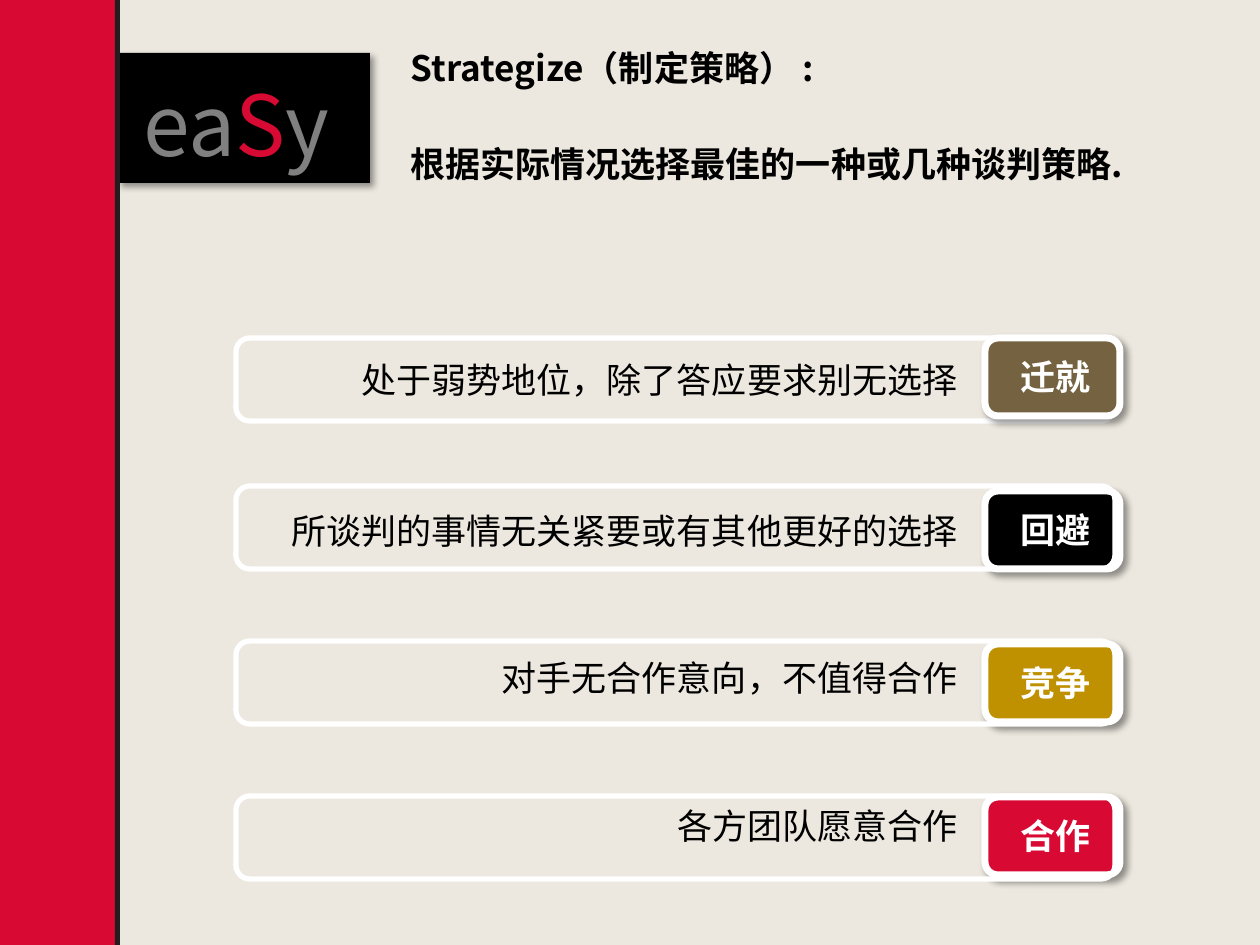
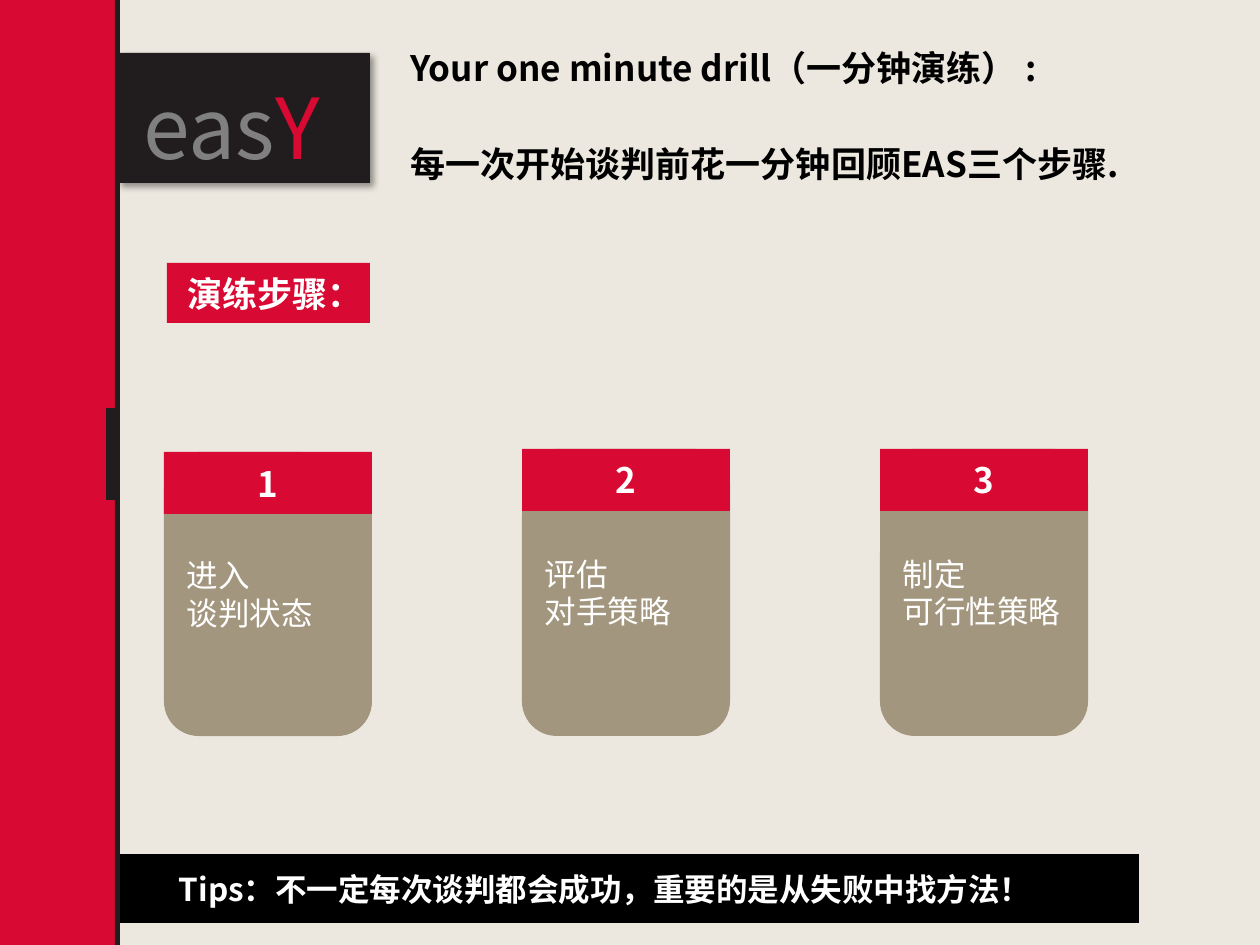
from dataclasses import dataclass

from lxml import etree
from pptx import Presentation
from pptx import util as u
from pptx.dml.color import RGBColor
from pptx.enum import shapes, text
from pptx.oxml.ns import qn

PX = u.Inches(1) / 126
LEFT, CENTER, RIGHT = text.PP_ALIGN.LEFT, text.PP_ALIGN.CENTER, text.PP_ALIGN.RIGHT
RECT = shapes.MSO_SHAPE.RECTANGLE
ROUNDED = shapes.MSO_SHAPE.ROUNDED_RECTANGLE


@dataclass(frozen=True)
class Theme:
    font: str = "Noto Sans CJK SC"
    background: str = "ECE8DF"
    black: str = "000000"
    white: str = "FFFFFF"
    charcoal: str = "211D1F"
    red: str = "D80A33"
    gray: str = "808080"
    brown: str = "746241"
    gold: str = "BF9000"
    taupe: str = "A3967F"
    logo_size: int = 48
    body_size: int = 20
    small_size: int = 18


THEME = Theme()


def px(length):
    return u.Emu(round(length * PX))


def write(frame, paragraphs, size=THEME.body_size, color=THEME.black, bold=False,
          align=LEFT, anchor=text.MSO_ANCHOR.TOP):
    """Fill a text frame; each paragraph is a string or a list of (text, color) runs."""
    frame.word_wrap = True
    frame.auto_size = text.MSO_AUTO_SIZE.NONE
    frame.vertical_anchor = anchor
    for index, content in enumerate(paragraphs):
        paragraph = frame.add_paragraph() if index else frame.paragraphs[0]
        paragraph.alignment = align
        runs = [(content, color)] if isinstance(content, str) else content
        for words, run_color in runs:
            run = paragraph.add_run()
            run.text = words
            run.font.size = u.Pt(size)
            run.font.bold = bold
            run.font.color.rgb = RGBColor.from_string(run_color)
            run.font.name = THEME.font
            properties = run._r.get_or_add_rPr()
            etree.SubElement(properties, qn("a:ea"), typeface=THEME.font)


def add_shadow(shape):
    effects = shape._element.spPr.find(qn("a:effectLst"))
    shadow = etree.SubElement(effects, qn("a:outerShdw"), blurRad=str(u.Pt(4)),
                              dist=str(u.Pt(3)), dir="2700000", algn="tl", rotWithShape="0")
    color = etree.SubElement(shadow, qn("a:srgbClr"), val=THEME.black)
    etree.SubElement(color, qn("a:alpha"), val="40000")


class Deck:
    """Holds the presentation, the current slide and the place where shapes are added."""

    def __init__(self):
        self.presentation = Presentation()
        self.presentation.slide_width = px(1260)
        self.presentation.slide_height = px(945)

    def new_slide(self, title, subtitle):
        self.slide = self.presentation.slides.add_slide(self.presentation.slide_layouts[5])
        self.end_group()
        fill = self.slide.background.fill
        fill.solid()
        fill.fore_color.rgb = RGBColor.from_string(THEME.background)
        placeholder = self.slide.shapes.title
        placeholder.left, placeholder.top = px(398), px(40)
        placeholder.width, placeholder.height = px(770), px(55)
        write(placeholder.text_frame, [title], bold=True)
        self.label(398, 136, 770, 55, [subtitle], bold=True)

    def start_group(self):
        self.canvas = self.slide.shapes.add_group_shape().shapes

    def end_group(self):
        self.canvas = self.slide.shapes

    def box(self, left, top, width, height, fill=None, kind=RECT, line=None, shadow=False):
        """Add a preset shape; line is a width in points of a white outline."""
        shape = self.canvas.add_shape(kind, px(left), px(top), px(width), px(height))
        shape.shadow.inherit = False
        if fill:
            shape.fill.solid()
            shape.fill.fore_color.rgb = RGBColor.from_string(fill)
        else:
            shape.fill.background()
        if line:
            shape.line.color.rgb = RGBColor.from_string(THEME.white)
            shape.line.width = u.Pt(line)
        else:
            shape.line.fill.background()
        if shadow:
            add_shadow(shape)
        return shape

    def label(self, left, top, width, height, paragraphs, **style):
        shape = self.canvas.add_textbox(px(left), px(top), px(width), px(height))
        write(shape.text_frame, paragraphs, **style)

    def side_band(self):
        self.box(0, 0, 116, 945, THEME.red)
        self.box(115, 0, 5, 945, THEME.charcoal)

    def step_badge(self, before, current, after="", fill=THEME.black, text_top=66):
        """Show the method's name with the letter of the current step in red."""
        self.box(118, 53, 252, 130, fill, shadow=True)
        letters = [(before, THEME.gray), (current, THEME.red), (after, THEME.gray)]
        self.label(131, text_top, 224, 115, [[run for run in letters if run[0]]],
                   size=THEME.logo_size)

    def strategy_frame(self, top):
        self.box(236, top, 879, 83, kind=ROUNDED, line=3)

    def strategy_tab(self, top, name, color):
        self.start_group()
        self.box(985, top, 135, 78, color, ROUNDED, line=4, shadow=True)
        self.label(1008, top + 11, 96, 55, [name], color=THEME.white, bold=True, align=CENTER)
        self.end_group()

    def drill_card(self, left, top, number, lines):
        middle = text.MSO_ANCHOR.MIDDLE
        self.start_group()
        body = self.box(left, top, 208, 736 - top, THEME.taupe, ROUNDED)
        write(body.text_frame, lines, size=THEME.small_size, color=THEME.white, anchor=middle)
        header = self.box(left, top, 208, 62, THEME.red)
        write(header.text_frame, [str(number)], color=THEME.white, bold=True,
              align=CENTER, anchor=middle)
        self.end_group()


def build_strategies(deck):
    deck.new_slide("Strategize（制定策略） :", "根据实际情况选择最佳的一种或几种谈判策略.")
    # Frame top, text top, situation, strategy, color
    strategies = [
        (338, 352, "处于弱势地位，除了答应要求别无选择", "迁就", THEME.brown),
        (486, 503, "所谈判的事情无关紧要或有其他更好的选择", "回避", THEME.black),
        (641, 650, "对手无合作意向，不值得合作", "竞争", THEME.gold),
        (796, 798, "各方团队愿意合作", "合作", THEME.red),
    ]
    frame_tops = [strategy[0] for strategy in strategies]
    deck.strategy_frame(frame_tops[0])
    deck.step_badge("ea", "S", "y")
    deck.side_band()
    for index, (_, text_top, situation, name, color) in enumerate(strategies):
        deck.label(270, text_top, 700, 55, [situation], align=RIGHT)
        deck.strategy_tab(338 + 153 * index, name, color)
    for top in frame_tops[1:]:
        deck.strategy_frame(top)


def build_drill(deck):
    deck.new_slide("Your one minute drill（一分钟演练） :", "每一次开始谈判前花一分钟回顾EAS三个步骤.")
    tips = deck.box(118, 854, 1021, 69, THEME.black)
    tips.text_frame.margin_left = px(61)
    write(tips.text_frame, ["Tips：不一定每次谈判都会成功，重要的是从失败中找方法！"],
          size=THEME.small_size, color=THEME.white, bold=True, anchor=text.MSO_ANCHOR.MIDDLE)
    deck.step_badge("eas", "Y", fill=THEME.charcoal, text_top=69)
    deck.side_band()
    deck.box(106, 408, 9, 92, THEME.charcoal)

    deck.start_group()
    deck.box(167, 263, 203, 60, THEME.red)
    deck.label(175, 266, 202, 55, ["演练步骤："], color=THEME.white, bold=True)
    deck.end_group()

    cards = [
        (452, ["进入", "谈判状态"]),
        (449, ["评估", "对手策略"]),
        (449, ["制定", "可行性策略"]),
    ]
    for index, (top, lines) in enumerate(cards):
        deck.drill_card(164 + 358 * index, top, index + 1, lines)


def main():
    deck = Deck()
    build_strategies(deck)
    build_drill(deck)
    deck.presentation.save("out.pptx")


if __name__ == "__main__":
    main()
